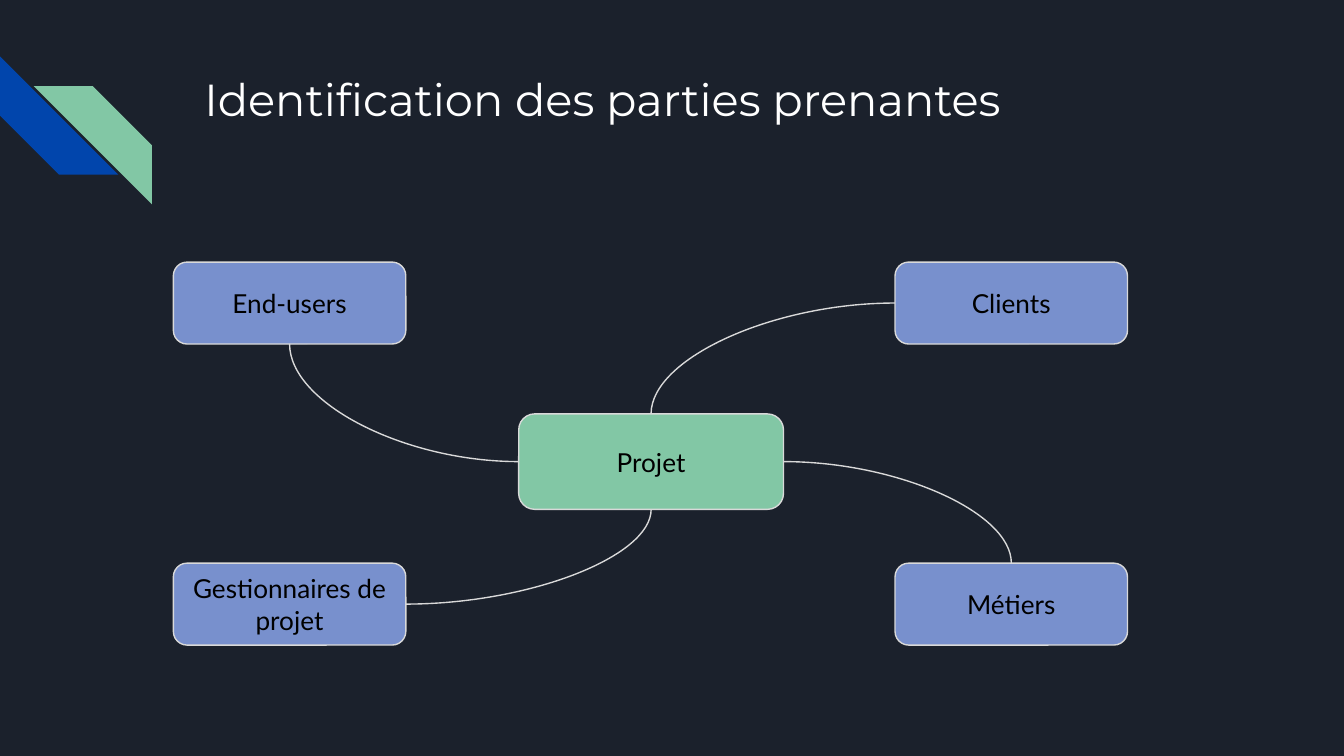
from pptx import Presentation
from pptx.dml.color import RGBColor
from pptx.enum.shapes import MSO_CONNECTOR, MSO_SHAPE
from pptx.enum.text import MSO_ANCHOR, MSO_AUTO_SIZE, PP_ALIGN
from pptx.oxml.ns import qn
from pptx.util import Inches, Pt
from lxml import etree

CURVE = MSO_CONNECTOR.CURVE
ROUNDED, STRIPE = MSO_SHAPE.ROUNDED_RECTANGLE, MSO_SHAPE.DIAGONAL_STRIPE
TOP_ANCHOR, MIDDLE = MSO_ANCHOR.TOP, MSO_ANCHOR.MIDDLE
LEFT_ALIGN, CENTER = PP_ALIGN.LEFT, PP_ALIGN.CENTER
NO_AUTOFIT = MSO_AUTO_SIZE.NONE
TOP, LEFT, BOTTOM, RIGHT = range(4)

COLORS = {
    "background": "1B212C",
    "blue": "0145AC",
    "green": "82C7A5",
    "periwinkle": "7890CD",
    "outline": "D9D9D9",
    "white": "FFFFFF",
    "black": "000000",
}


def color(name):
    return RGBColor.from_string(COLORS[name])


def write_text(shape, text, font="Lato", size=14, fill="black", align=CENTER, anchor=MIDDLE):
    frame = shape.text_frame
    frame.word_wrap = True
    frame.auto_size = NO_AUTOFIT
    frame.vertical_anchor = anchor
    frame.margin_left = frame.margin_right = Inches(0.1)
    frame.margin_top = frame.margin_bottom = Inches(0.1)
    frame.text = text
    paragraph = frame.paragraphs[0]
    paragraph.alignment = align
    paragraph.font.name = font
    paragraph.font.size = Pt(size)
    paragraph.font.color.rgb = color(fill)


class StakeholderSlide:
    line_color = "outline"
    line_width = 0.75

    def __init__(self, presentation):
        self.slide = presentation.slides.add_slide(presentation.slide_layouts[5])
        self.shapes = self.slide.shapes
        background = self.slide.background.fill
        background.solid()
        background.fore_color.rgb = color("background")

    def title(self, text, left, top, width, height):
        title = self.shapes.title
        title.left, title.top = Inches(left), Inches(top)
        title.width, title.height = Inches(width), Inches(height)
        write_text(title, text, font="Montserrat", size=24, fill="white",
                   align=LEFT_ALIGN, anchor=TOP_ANCHOR)

    def filled(self, kind, left, top, width, height, fill):
        shape = self.shapes.add_shape(kind, Inches(left), Inches(top), Inches(width), Inches(height))
        shape.shadow.inherit = False
        shape.fill.solid()
        shape.fill.fore_color.rgb = color(fill)
        return shape

    def stripe(self, left, top, fill, rotation):
        shape = self.filled(STRIPE, left, top, 0.88, 0.88, fill)
        shape.line.fill.background()
        shape.rotation = rotation

    def outline(self, line):
        line.color.rgb = color(self.line_color)
        line.width = Pt(self.line_width)

    def box(self, text, left, top, width=1.73, height=0.61, fill="periwinkle"):
        shape = self.filled(ROUNDED, left, top, width, height, fill)
        self.outline(shape.line)
        write_text(shape, text)
        return shape

    def curve(self, start, start_side, end, end_side):
        connector = self.shapes.add_connector(CURVE, 0, 0, 0, 0)
        connector.begin_connect(start, start_side)
        connector.end_connect(end, end_side)
        self.outline(connector.line)
        properties = connector._element.spPr
        properties.find(qn("a:prstGeom")).set("prst", "curvedConnector2")
        etree.SubElement(properties, qn("a:effectLst"))


def main():
    presentation = Presentation()
    presentation.slide_width = Inches(10)
    presentation.slide_height = Inches(10) * 9 // 16

    page = StakeholderSlide(presentation)
    page.stripe(0, 0.42, "blue", 270)
    page.stripe(0.25, 0.64, "green", 90)
    page.title("Identification des parties prenantes", 1.42, 0.43, 7.7, 1)

    left_column, right_column = 1.29, 6.66
    upper_row, lower_row = 1.95, 4.19
    project = page.box("Projet", 3.86, 3.08, 1.97, 0.71, "green")
    end_users = page.box("End-users", left_column, upper_row)
    managers = page.box("Gestionnaires de projet", left_column, lower_row)
    clients = page.box("Clients", right_column, upper_row)
    business = page.box("Métiers", right_column, lower_row)

    page.curve(clients, LEFT, project, TOP)
    page.curve(project, RIGHT, business, TOP)
    page.curve(managers, RIGHT, project, BOTTOM)
    page.curve(project, LEFT, end_users, BOTTOM)

    presentation.save("out.pptx")


if __name__ == "__main__":
    main()
